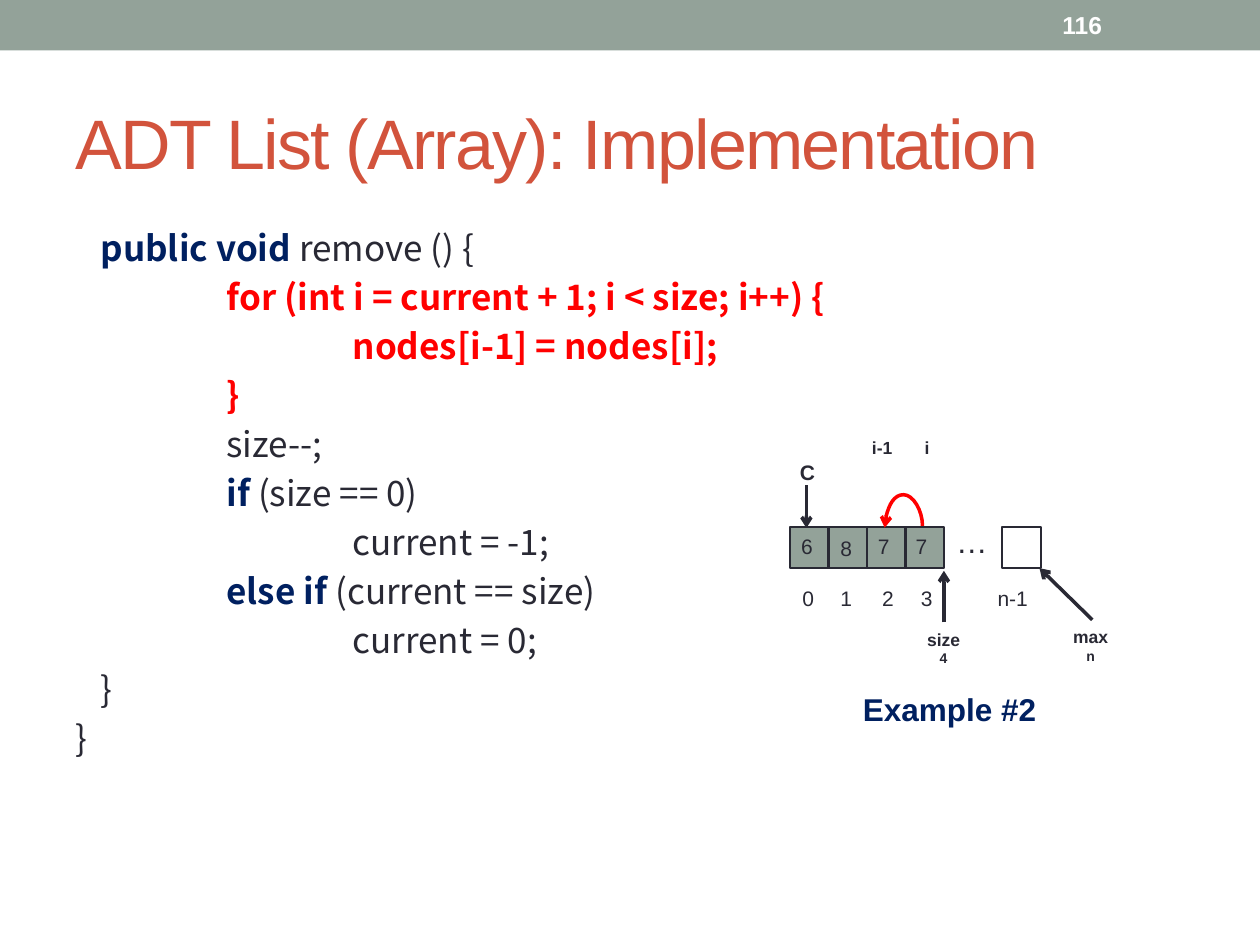
from typing import NamedTuple

from lxml.etree import SubElement
from pptx import Presentation
from pptx.dml.color import RGBColor
from pptx.enum.shapes import MSO_CONNECTOR as Connector, MSO_SHAPE as Preset
from pptx.enum.text import MSO_ANCHOR as Anchor, MSO_AUTO_SIZE as AutoSize, PP_ALIGN as Align
from pptx.oxml.ns import qn
from pptx.util import Pt

INK, SAGE, WHITE = "292934", "93A299", "FFFFFF"
NAVY, RED, RUST = "002060", "FF0000", "D2533C"
CODE_FONT = "Noto Sans CJK SC"

CELL_LEFT, CELL_TOP, CELL_WIDTH, CELL_HEIGHT = 451.4, 301, 22, 23.8


class Box(NamedTuple):
    left: float
    top: float
    width: float
    height: float


class Run(NamedTuple):
    text: str
    color: str = INK
    bold: bool = False


class CodeLine(NamedTuple):
    level: int
    runs: list[Run]


class Label(NamedTuple):
    text: str
    box: Box
    size: float = 12
    bold: bool = False
    color: str = INK
    note: str = ""


class Arrow(NamedTuple):
    start: tuple[float, float]
    end: tuple[float, float]


CODE = [
    CodeLine(1, [Run("public void ", NAVY, True), Run("remove () {")]),
    CodeLine(2, [Run("for (int i = current + 1; i < size; i++) {", RED, True)]),
    CodeLine(3, [Run("nodes[i-1] = nodes[i];", RED, True)]),
    CodeLine(2, [Run("}", RED, True)]),
    CodeLine(2, [Run("size--;")]),
    CodeLine(2, [Run("if", NAVY, True), Run(" (size == 0)")]),
    CodeLine(3, [Run("current = -1;")]),
    CodeLine(2, [Run("else if ", NAVY, True), Run("(current == size)")]),
    CodeLine(3, [Run("current = 0;")]),
    CodeLine(1, [Run("}")]),
    CodeLine(0, [Run("}")]),
]

LABELS = [
    Label("…", Box(539.3, 295, 32.4, 28.8), size=18),
    Label("0", Box(451.4, 331.2, 22, 21.6)),
    Label("1", Box(473.2, 331.2, 22, 21.6)),
    Label("2", Box(497, 331.2, 22, 21.6)),
    Label("3", Box(519.2, 331.2, 22, 21.6)),
    Label("n-1", Box(563, 331.2, 38.2, 21.6)),
    Label("C", Box(450, 259.2, 23, 21.6), bold=True),
    Label("size", Box(522.7, 355.7, 33.8, 28.8), size=10, bold=True, note="4"),
    Label("max", Box(606.2, 354.2, 36, 28.8), size=10, bold=True, note="n"),
    Label("6", Box(450.7, 301.3, 22, 21.6)),
    Label("8", Box(473.2, 302.4, 22, 21.6)),
    Label("7", Box(494.6, 301.3, 22, 21.6)),
    Label("7", Box(516.2, 301.3, 22, 21.6)),
    Label("i", Box(521.3, 246.2, 17.3, 19.4), size=10, bold=True),
    Label("i-1", Box(491.2, 246.2, 29.5, 19.4), size=10, bold=True),
    Label("Example #2", Box(486, 391, 118.1, 28.8), size=18, bold=True, color=NAVY),
]

ARROWS = [
    Arrow((460.8, 277.2), (460.8, 301.7)),
    Arrow((539.4, 355.7), (539.4, 326.2)),
    Arrow((624.2, 354.2), (594, 324.7)),
]


def rgb(color: str) -> RGBColor:
    return RGBColor.from_string(color)


def add_run(paragraph, text: str, *, size: float, color: str = INK, bold: bool = False,
            font: str = "Arial", spacing: float = 0) -> None:
    """Append formatted text; spacing is the letter spacing in points."""
    run = paragraph.add_run()
    run.text = text
    run.font.name = font
    run.font.size = Pt(size)
    run.font.bold = bold
    run.font.color.rgb = rgb(color)
    if spacing:
        run.font._element.set("spc", str(round(spacing * 100)))


def add_frame(slide, box: Box, *, wrap: bool = True, anchor=Anchor.TOP):
    frame = slide.shapes.add_textbox(*map(Pt, box)).text_frame
    frame.word_wrap = wrap
    frame.auto_size = AutoSize.NONE if wrap else AutoSize.SHAPE_TO_FIT_TEXT
    frame.vertical_anchor = anchor
    return frame


def add_text(slide, text: str, box: Box, *, wrap: bool = True, anchor=Anchor.TOP, **style):
    frame = add_frame(slide, box, wrap=wrap, anchor=anchor)
    add_run(frame.paragraphs[0], text, **style)
    return frame


def add_label(slide, label: Label) -> None:
    frame = add_text(slide, label.text, label.box, wrap=False,
                     size=label.size, bold=label.bold, color=label.color)
    if label.note:
        paragraph = frame.add_paragraph()
        paragraph.alignment = Align.CENTER
        add_run(paragraph, label.note, size=8, bold=label.bold, color=label.color)


def add_code(slide, lines: list[CodeLine], box: Box) -> None:
    frame = add_frame(slide, box)
    for index, line in enumerate(lines):
        paragraph = frame.add_paragraph() if index else frame.paragraphs[0]
        paragraph.space_before = Pt(4 if index else 0)
        indent = 14.4 + 72 * (line.level - 1) if line.level else 0
        paragraph._p.get_or_add_pPr().set("marL", str(Pt(indent)))
        for run in line.runs:
            add_run(paragraph, run.text, size=20, color=run.color, bold=run.bold, font=CODE_FONT)


def add_rectangle(slide, box: Box, fill: str, line: str = "") -> None:
    shape = slide.shapes.add_shape(Preset.RECTANGLE, *map(Pt, box))
    shape.shadow.inherit = False
    shape.fill.solid()
    shape.fill.fore_color.rgb = rgb(fill)
    if line:
        shape.line.color.rgb = rgb(line)
        shape.line.width = Pt(1.25)
    else:
        shape.line.fill.background()


def add_arrow(slide, arrow: Arrow, color: str = INK, kind=Connector.STRAIGHT):
    connector = slide.shapes.add_connector(kind, *map(Pt, arrow.start + arrow.end))
    connector.line.color.rgb = rgb(color)
    connector.line.width = Pt(2)
    properties = connector._element.spPr
    SubElement(properties.find(qn("a:ln")), qn("a:tailEnd"), type="arrow")
    SubElement(properties, qn("a:effectLst"))
    return connector


def add_shift_arc(slide, center: tuple[float, float], span: float, rise: float) -> None:
    """Arch from right to left: a 1 pt wide curve, flipped and turned by 270 degrees."""
    x, y = center
    arrow = Arrow((x + 0.5, y + span / 2), (x - 0.5, y - span / 2))
    properties = add_arrow(slide, arrow, RED, Connector.CURVE)._element.spPr
    properties.find(qn("a:xfrm")).set("rot", str(270 * 60000))
    adjustments = properties.find(qn("a:prstGeom")).get_or_add_avLst()
    SubElement(adjustments, qn("a:gd"), name="adj1", fmla=f"val {round(-rise * 100000)}")


def main() -> None:
    presentation = Presentation()
    presentation.slide_width, presentation.slide_height = Pt(720), Pt(540)
    slide = presentation.slides.add_slide(presentation.slide_layouts[6])

    add_rectangle(slide, Box(0, 0, 720, 28.8), SAGE)
    add_text(slide, "ADT List (Array): Implementation", Box(36, 41.8, 648, 77.8),
             anchor=Anchor.MIDDLE, size=40, color=RUST, spacing=-1)
    add_code(slide, CODE, Box(36, 126, 648, 383.8))
    add_text(slide, "116", Box(600, 1.4, 84, 25.9), anchor=Anchor.MIDDLE,
             size=14, color=WHITE, bold=True)

    for index in range(4):
        left = CELL_LEFT + index * CELL_WIDTH
        add_rectangle(slide, Box(left, CELL_TOP, CELL_WIDTH, CELL_HEIGHT), SAGE, INK)
    add_rectangle(slide, Box(572.8, CELL_TOP, CELL_WIDTH, CELL_HEIGHT), WHITE, INK)
    for label in LABELS:
        add_label(slide, label)
    for arrow in ARROWS:
        add_arrow(slide, arrow)
    add_shift_arc(slide, center=(516.4, CELL_TOP), span=21.6, rise=18)

    presentation.save("out.pptx")


if __name__ == "__main__":
    main()
